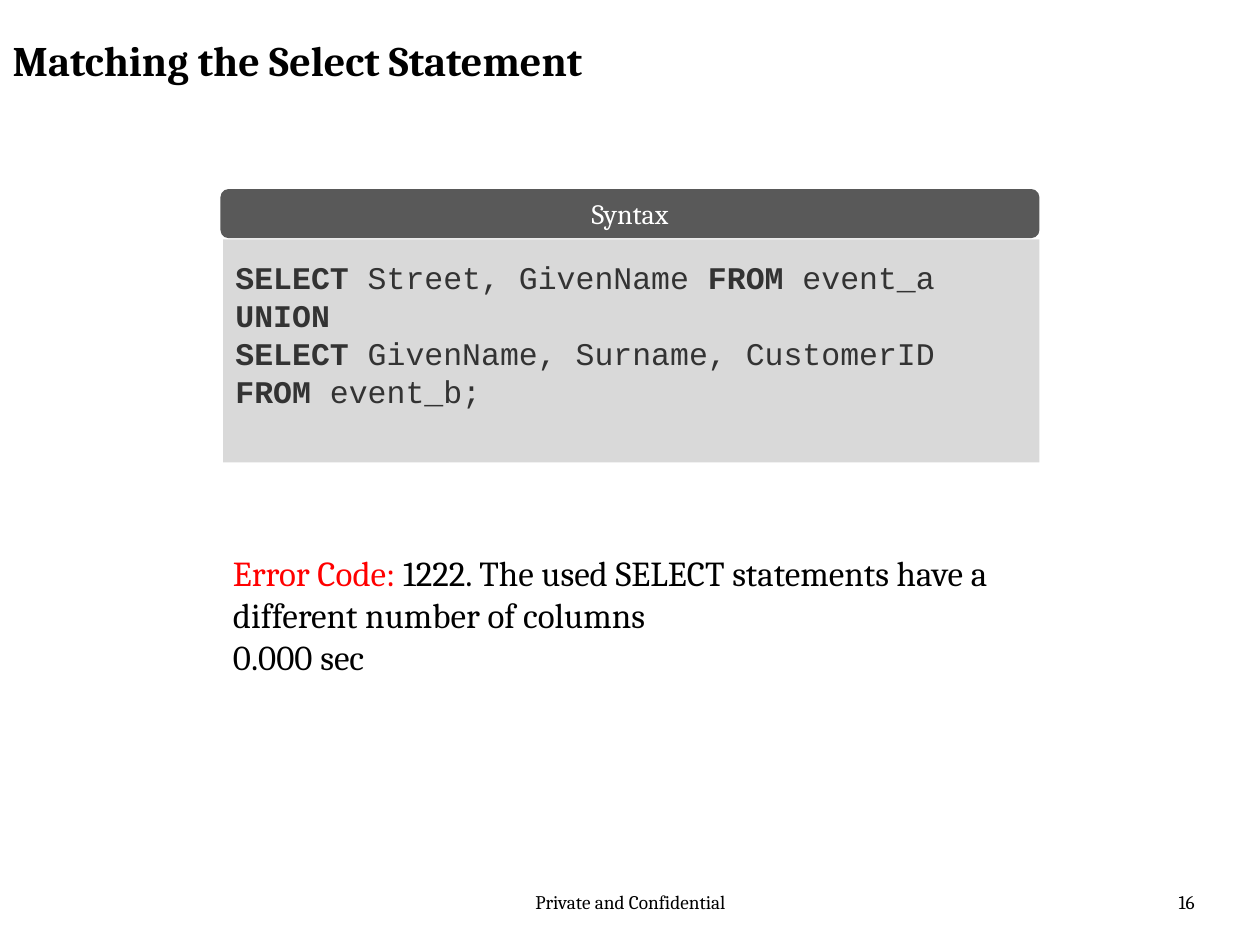
"""Build the slide about matching the columns of SELECT statements in a UNION."""
from pptx import Presentation
from pptx.dml.color import RGBColor
from pptx.enum.shapes import MSO_SHAPE
from pptx.enum.text import MSO_ANCHOR, PP_ALIGN
from pptx.util import Inches, Pt

COLORS = {
    "black": "000000",
    "white": "FFFFFF",
    "error": "FF0000",
    "header": "595959",
    "panel": "D9D9D9",
    "code": "333333",
}


def write_text(box, lines, size, font="Cambria", color="black",
               align=PP_ALIGN.LEFT, anchor=MSO_ANCHOR.TOP, top=0.05):
    """Fill a box with lines, each a list of (text, bold, color or None) spans."""
    frame = box.text_frame
    frame.word_wrap = True
    frame.vertical_anchor = anchor
    frame.margin_left = frame.margin_right = Inches(0.1)
    frame.margin_top, frame.margin_bottom = Inches(top), Inches(0.05)
    for index, line in enumerate(lines):
        para = frame.paragraphs[0] if index == 0 else frame.add_paragraph()
        para.alignment = align
        for text, bold, span_color in line:
            span = para.add_run()
            span.text = text
            span.font.name = font
            span.font.size = Pt(size)
            span.font.bold = bold
            span.font.color.rgb = RGBColor.from_string(COLORS[span_color or color])


def add_panel(page, kind, left, top, width, height, fill):
    """Add a filled shape without outline or shadow."""
    panel = page.shapes.add_shape(
        kind, Inches(left), Inches(top), Inches(width), Inches(height))
    panel.shadow.inherit = False
    panel.fill.solid()
    panel.fill.fore_color.rgb = RGBColor.from_string(COLORS[fill])
    panel.line.fill.background()
    return panel


deck = Presentation()
deck.slide_width, deck.slide_height = Inches(10), Inches(7.5)
page = deck.slides.add_slide(deck.slide_layouts[5])

title = page.shapes.title
title.left, title.top = Inches(0), Inches(0.22)
title.width, title.height = Inches(7.59), Inches(0.62)
write_text(title, [[("Matching the Select Statement", True, None)]], 24)

header = add_panel(page, MSO_SHAPE.ROUNDED_RECTANGLE, 1.75, 1.5, 6.5, 0.39, "header")
write_text(header, [[("Syntax", False, None)]], 16, color="white",
           align=PP_ALIGN.CENTER, anchor=MSO_ANCHOR.MIDDLE)

code_lines = [
    [("SELECT", True, None), (" Street, GivenName ", False, None),
     ("FROM ", True, None), ("event_a", False, None)],
    [("UNION", True, None)],
    [("SELECT ", True, None), ("GivenName, Surname, CustomerID ", False, None),
     ("FROM ", True, None), ("event_b;", False, None)],
]
code = add_panel(page, MSO_SHAPE.RECTANGLE, 1.77, 1.9, 6.48, 1.77, "panel")
write_text(code, code_lines, 18, font="Courier New", color="code", top=0.15)

message_lines = [
    [("Error Code:", False, "error"),
     (" 1222. The used SELECT statements have a different number of columns", False, None)],
    [("0.000 sec", False, None)],
]
message = page.shapes.add_textbox(Inches(1.75), Inches(4.33), Inches(6.58), Inches(1.11))
write_text(message, message_lines, 20)

for text, left, width, align in [
    ("Private and Confidential", 3.42, 3.17, PP_ALIGN.CENTER),
    ("16", 7.25, 2.33, PP_ALIGN.RIGHT),
]:
    footer = page.shapes.add_textbox(Inches(left), Inches(7.02), Inches(width), Inches(0.4))
    write_text(footer, [[(text, False, None)]], 11, align=align)

deck.save("out.pptx")
